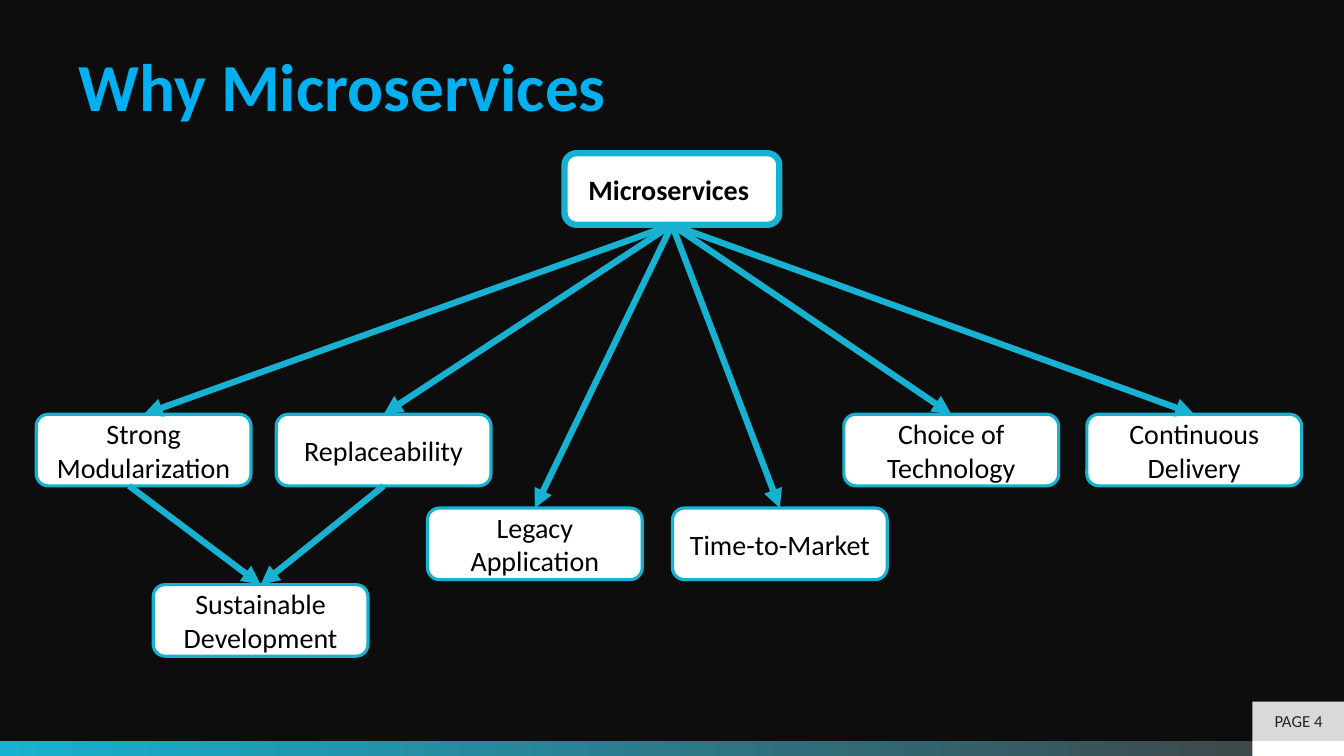
from lxml import etree
from pptx import Presentation
from pptx.dml.color import RGBColor
from pptx.enum.shapes import MSO_CONNECTOR, MSO_SHAPE
from pptx.enum.text import MSO_ANCHOR, MSO_AUTO_SIZE, PP_ALIGN
from pptx.oxml.ns import qn
from pptx.util import Inches, Pt

COLORS = {
    "background": "0D0D0D",
    "title": "00B0F0",
    "accent": "17B2D1",
    "bar_end": "404040",
    "white": "FFFFFF",
    "black": "000000",
    "page_fill": "D9D9D9",
    "page_text": "262626",
}
FONT = "Calibri"
BOX_WIDTH, BOX_HEIGHT = 2.13, 0.71
TOP, BOTTOM = 0, 2  # connection sites

ROOT = "Microservices"
UPPER_ROW, LOWER_ROW = 4.11, 5.04
REASONS = {  # label: (left, top)
    "Strong Modularization": (0.36, UPPER_ROW),
    "Replaceability": (2.74, UPPER_ROW),
    "Legacy Application": (4.24, LOWER_ROW),
    "Time-to-Market": (6.67, LOWER_ROW),
    "Choice of Technology": (8.37, UPPER_ROW),
    "Continuous Delivery": (10.78, UPPER_ROW),
}


def color(name):
    return RGBColor.from_string(COLORS[name])


def set_text(shape, text, size, color_name, bold=False, align=PP_ALIGN.CENTER):
    text_frame = shape.text_frame
    text_frame.text = text
    paragraph = text_frame.paragraphs[0]
    paragraph.alignment = align
    font = paragraph.runs[0].font
    font.name = FONT
    font.size = Pt(size)
    font.bold = bold
    font.color.rgb = color(color_name)


def add_panel(slide, kind, left, top, width, height, fill):
    shape = slide.shapes.add_shape(
        kind, Inches(left), Inches(top), Inches(width), Inches(height))
    shape.shadow.inherit = False
    shape.fill.solid()
    shape.fill.fore_color.rgb = color(fill)
    shape.line.fill.background()
    shape.text_frame.vertical_anchor = MSO_ANCHOR.MIDDLE
    return shape


def add_box(slide, text, left, top, line_width=2.25, bold=False):
    box = add_panel(slide, MSO_SHAPE.ROUNDED_RECTANGLE, left, top,
                    BOX_WIDTH, BOX_HEIGHT, "white")
    box.line.color.rgb = color("accent")
    box.line.width = Pt(line_width)
    box.text_frame.word_wrap = True
    set_text(box, text, 20, "black", bold)
    return box


def add_arrow(slide, source, target, start_left=None):
    """Join source to target; start_left moves the start off the middle."""
    start = source.left + source.width // 2 if start_left is None else Inches(start_left)
    connector = slide.shapes.add_connector(
        MSO_CONNECTOR.STRAIGHT, start, source.top + source.height,
        target.left + target.width // 2, target.top)
    if start_left is None:
        connector.begin_connect(source, BOTTOM)
    connector.end_connect(target, TOP)
    connector.line.color.rgb = color("accent")
    connector.line.width = Pt(4.5)
    line = connector.line._get_or_add_ln()
    etree.SubElement(line, qn("a:tailEnd"), type="triangle")
    etree.SubElement(connector._element.spPr, qn("a:effectLst"))


def add_footer(slide):
    bar = add_panel(slide, MSO_SHAPE.RECTANGLE, 0, 7.35, 13.33, 0.15, "accent")
    bar.fill.gradient()
    bar.fill.gradient_angle = 0
    for stop, name, position in zip(bar.fill.gradient_stops, ("accent", "bar_end"), (0, 1)):
        stop.color.rgb = color(name)
        stop.position = position
    add_panel(slide, MSO_SHAPE.RECTANGLE, 12.42, 7.35, 0.92, 0.15, "white")
    page = add_panel(slide, MSO_SHAPE.RECTANGLE, 12.42, 6.96, 0.92, 0.39, "page_fill")
    set_text(page, "PAGE 4", 12, "page_text")


def add_title(slide, text):
    title = slide.shapes.add_textbox(Inches(0.68), Inches(0.39), Inches(5.49), Inches(0.91))
    title.text_frame.word_wrap = False
    title.text_frame.auto_size = MSO_AUTO_SIZE.SHAPE_TO_FIT_TEXT
    set_text(title, text, 48, "title", bold=True, align=PP_ALIGN.LEFT)


def main():
    presentation = Presentation()
    presentation.slide_width = Inches(13.33)
    presentation.slide_height = Inches(7.5)
    slide = presentation.slides.add_slide(presentation.slide_layouts[6])
    slide.background.fill.solid()
    slide.background.fill.fore_color.rgb = color("background")

    add_footer(slide)
    add_title(slide, "Why Microservices")

    # Boxes of the tree
    root = add_box(slide, ROOT + " ", 5.6, 1.52, line_width=4.5, bold=True)
    reasons = {label: add_box(slide, label, left, top)
               for label, (left, top) in REASONS.items()}
    sustainable = add_box(slide, "Sustainable Development", 1.52, 5.8)

    # Arrows between them
    for reason in reasons.values():
        add_arrow(slide, root, reason)
    add_arrow(slide, reasons["Replaceability"], sustainable)
    add_arrow(slide, reasons["Strong Modularization"], sustainable, start_left=1.28)

    presentation.save("out.pptx")


if __name__ == "__main__":
    main()
